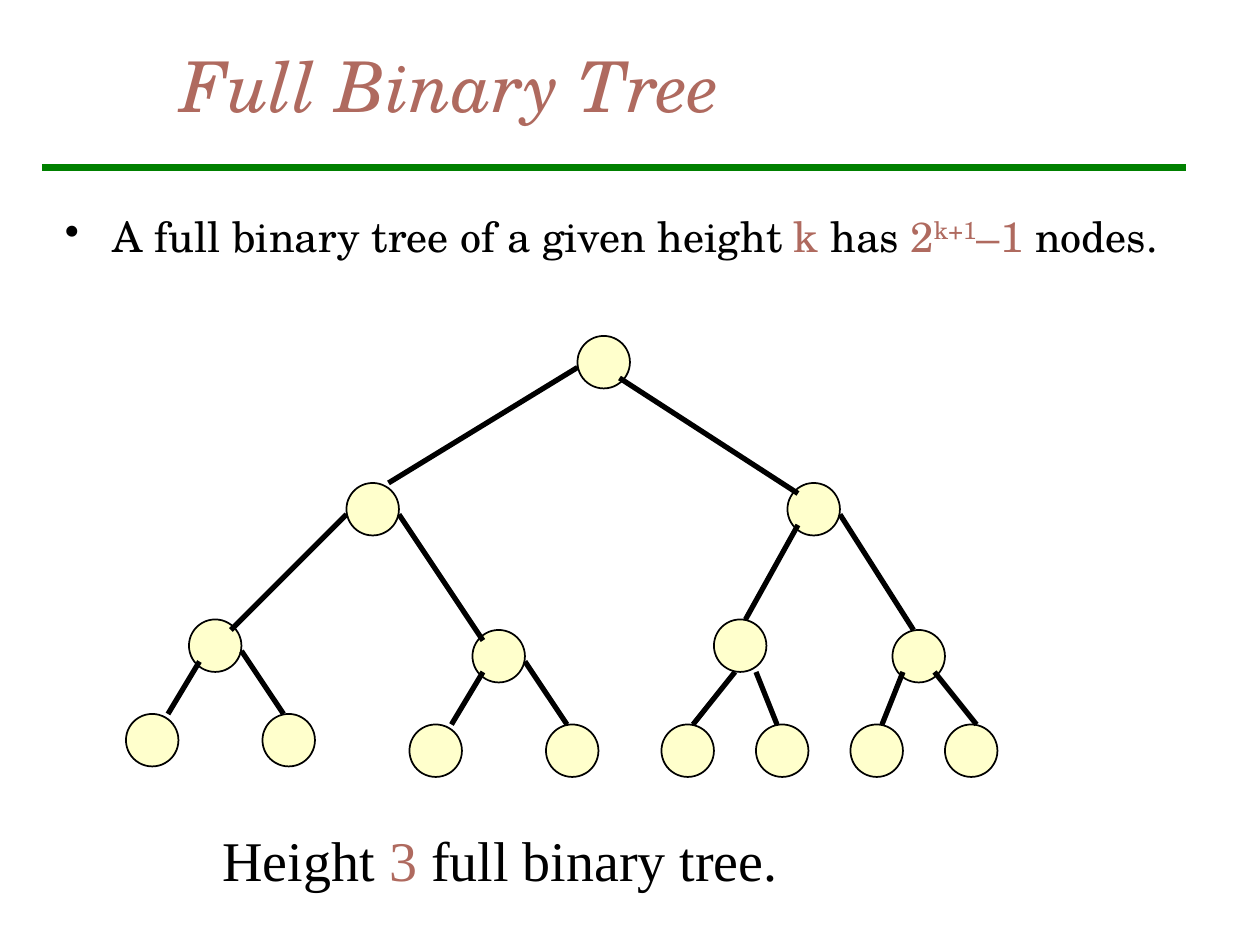
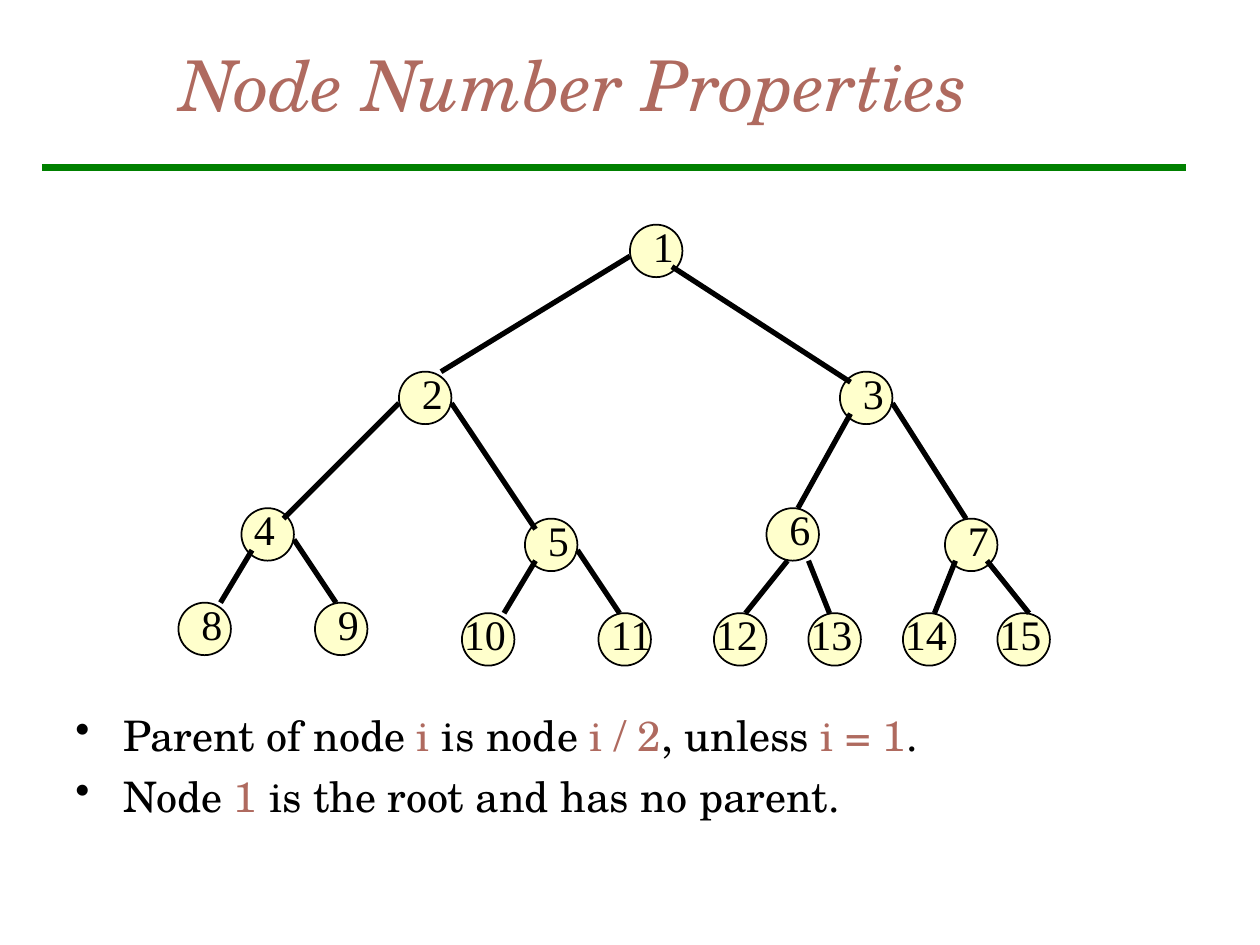
from typing import Any, NamedTuple

from lxml import etree
from pptx import Presentation
from pptx import util as u
from pptx.dml.color import RGBColor
from pptx.enum import shapes, text
from pptx.oxml import ns

ROSE = RGBColor(0xAF, 0x6A, 0x5F)
GREEN = RGBColor(0x00, 0x80, 0x00)
CREAM = RGBColor(0xFF, 0xFF, 0xCC)
BLACK = RGBColor(0x00, 0x00, 0x00)

WIDE, HIGH = u.Inches(10), u.Inches(7.5)
COLS, ROWS = 120, 90
DOT = 5  # node diameter in grid units

TITLE = {"name": "TeX Gyre Schola", "size": u.Pt(40), "italic": True}
BODY = {"name": "TeX Gyre Schola", "size": u.Pt(24)}
NOTE = {"name": "Times New Roman", "size": u.Pt(32)}
LABEL = {"name": "Times New Roman", "size": u.Pt(24)}


class Spot(NamedTuple):
    col: float
    row: float

    def plus(self, move: tuple[float, float]) -> "Spot":
        return Spot(self.col + move[0], self.row + move[1])


class Box(NamedTuple):
    col: float
    row: float
    cols: float
    rows: float


class Node(NamedTuple):
    """Place from the root; edge start on the parent, edge end on this node."""
    place: tuple[int, int]
    start: tuple[int, int] = (0, 0)
    end: tuple[int, int] = (0, 0)
    shift: int = 1  # columns from node to its label


# In level order, so the parent of node i is node i // 2.
TREE = [
    Node((0, 0)),
    Node((-22, 14), (0, 3), (4, 0)),
    Node((20, 14), (4, 4), (1, 1)),
    Node((-37, 27), (0, 3), (4, 1), 0),
    Node((-10, 28), (5, 3), (1, 1)),
    Node((13, 27), (1, 4), (3, 0)),
    Node((30, 28), (5, 3), (2, 0)),
    Node((-43, 36), (1, 4), (4, 0)),
    Node((-30, 36), (5, 3), (2, 0)),
    Node((-16, 37), (1, 4), (4, 0), -1),
    Node((-3, 37), (5, 3), (2, 0), 0),
    Node((8, 37), (2, 5), (3, 0), -1),
    Node((17, 37), (4, 5), (2, 0), -1),
    Node((26, 37), (1, 4), (3, 0), -1),
    Node((35, 37), (4, 4), (3, 0), -1),
]


def across(cols: float) -> int:
    return round(WIDE * cols / COLS)


def down(rows: float) -> int:
    return round(HIGH * rows / ROWS)


def frame(box: Box) -> tuple[int, int, int, int]:
    return across(box.col), down(box.row), across(box.cols), down(box.rows)


def fill_line(para: Any, line: str, style: dict, ink: RGBColor) -> None:
    """Write a line; |...| turns rose and ^...^ is raised."""
    for i, part in enumerate(line.split("|")):
        for j, piece in enumerate(part.split("^")):
            if not piece:
                continue
            run = para.add_run()
            run.text = piece
            for key, value in style.items():
                setattr(run.font, key, value)
            run.font.color.rgb = ROSE if i % 2 else ink
            if j % 2:
                run._r.get_or_add_rPr().set("baseline", "30000")


def add_bullet(para: Any) -> None:
    props = para._p.get_or_add_pPr()
    props.set("marL", str(u.Inches(0.38)))
    props.set("indent", str(-u.Inches(0.38)))
    tint = etree.SubElement(props, ns.qn("a:buClr"))
    etree.SubElement(tint, ns.qn("a:srgbClr")).set("val", str(BLACK))
    etree.SubElement(props, ns.qn("a:buChar")).set("char", "•")


def add_text(home: Any, box: Box, lines: list[str], style: dict,
             ink: RGBColor = BLACK, bullet: bool = False,
             space: float = 1.0, anchor: Any = text.MSO_ANCHOR.TOP) -> None:
    area = home.shapes.add_textbox(*frame(box)).text_frame
    area.word_wrap = True
    area.vertical_anchor = anchor
    for i, line in enumerate(lines):
        para = area.add_paragraph() if i else area.paragraphs[0]
        if bullet:
            add_bullet(para)
        para.line_spacing = space
        if i:
            para.space_before = u.Pt(6)
        fill_line(para, line, style, ink)


def add_line(home: Any, a: Spot, b: Spot, ink: RGBColor, weight: float) -> None:
    line = home.shapes.add_connector(
        shapes.MSO_CONNECTOR.STRAIGHT,
        across(a.col), down(a.row), across(b.col), down(b.row))
    line.line.color.rgb = ink
    line.line.width = u.Pt(weight)
    etree.SubElement(line._element.spPr, ns.qn("a:effectLst"))


def add_node(home: Any, spot: Spot) -> None:
    dot = home.shapes.add_shape(
        shapes.MSO_SHAPE.OVAL, *frame(Box(*spot, DOT, DOT)))
    dot.shadow.inherit = False
    dot.fill.solid()
    dot.fill.fore_color.rgb = CREAM
    dot.line.color.rgb = BLACK
    dot.line.width = u.Pt(1)


def add_tree(slide: Any, root: Spot, named: bool = False) -> None:
    group = slide.shapes.add_group_shape()
    spots = [root.plus(node.place) for node in TREE]
    for spot in spots:
        add_node(group, spot)
    for i, node in enumerate(TREE[1:], 2):
        add_line(group, spots[i // 2 - 1].plus(node.start),
                 spots[i - 1].plus(node.end), BLACK, 3)
    if named:
        for i, (spot, node) in enumerate(zip(spots, TREE), 1):
            box = Box(*spot.plus((node.shift, -1)), 4 * len(str(i)), 6)
            add_text(group, box, [str(i)], LABEL)


def add_slide(deck: Any, title: str, top: int) -> Any:
    """Start a slide with the green rule and a title centred on row 8."""
    slide = deck.slides.add_slide(deck.slide_layouts[6])
    add_line(slide, Spot(4, 16), Spot(113, 16), GREEN, 4)
    add_text(slide, Box(16, top, 102, 2 * (8 - top)), [title], TITLE, ROSE,
             anchor=text.MSO_ANCHOR.MIDDLE)
    return slide


def main() -> None:
    deck = Presentation()
    deck.slide_width, deck.slide_height = WIDE, HIGH

    full = add_slide(deck, "Full Binary Tree", 3)
    add_text(full, Box(5, 20, 109, 13),
             ["A full binary tree of a given height |k| has "
              "|2^k+1^–1 |nodes."], BODY, bullet=True, space=0.9)
    add_tree(full, Spot(55, 32))
    add_text(full, Box(20, 78, 86, 7.7),
             ["Height |3| full binary tree."], NOTE)

    rules = add_slide(deck, "Node Number Properties", 2)
    add_text(rules, Box(6, 67, 109, 20),
             ["Parent of node |i| is node |i / 2|, unless |i = 1|.",
              "Node |1| is the root and has no parent."], BODY, bullet=True)
    add_tree(rules, Spot(60, 21.4), named=True)

    deck.save("out.pptx")


if __name__ == "__main__":
    main()
